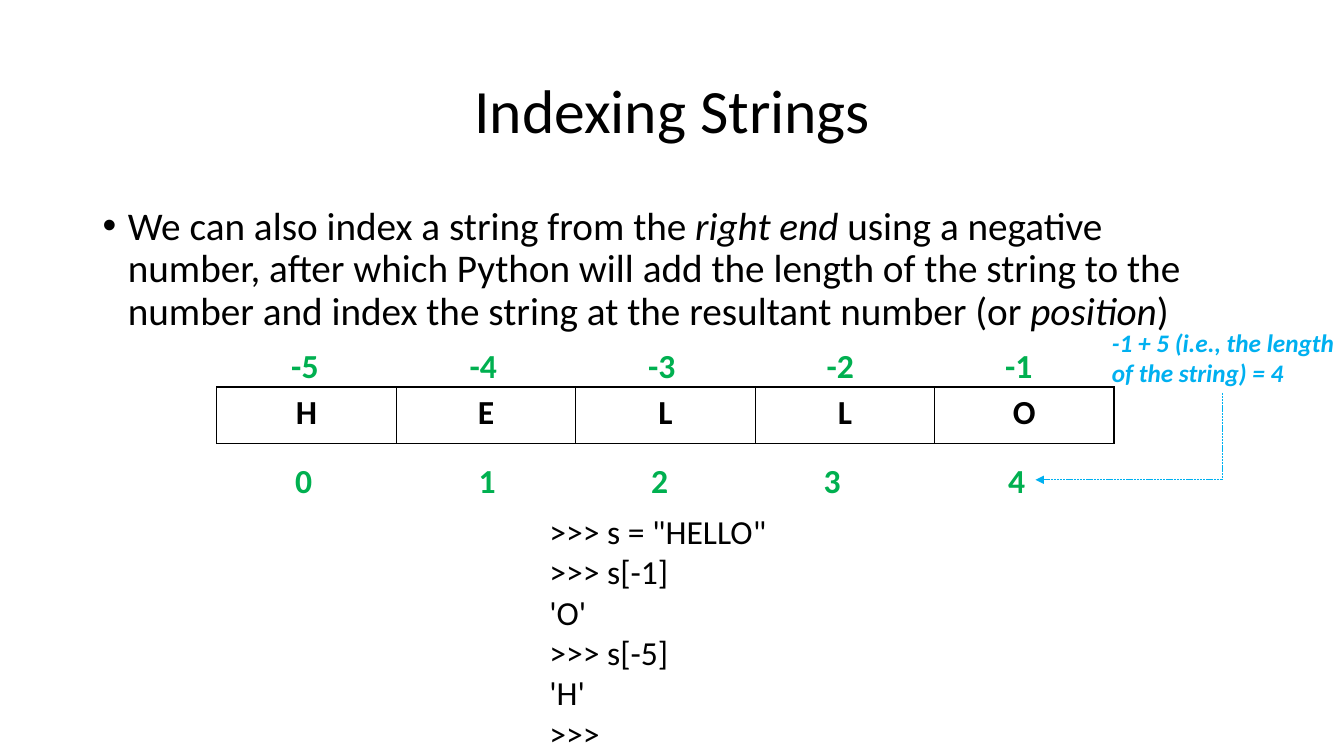
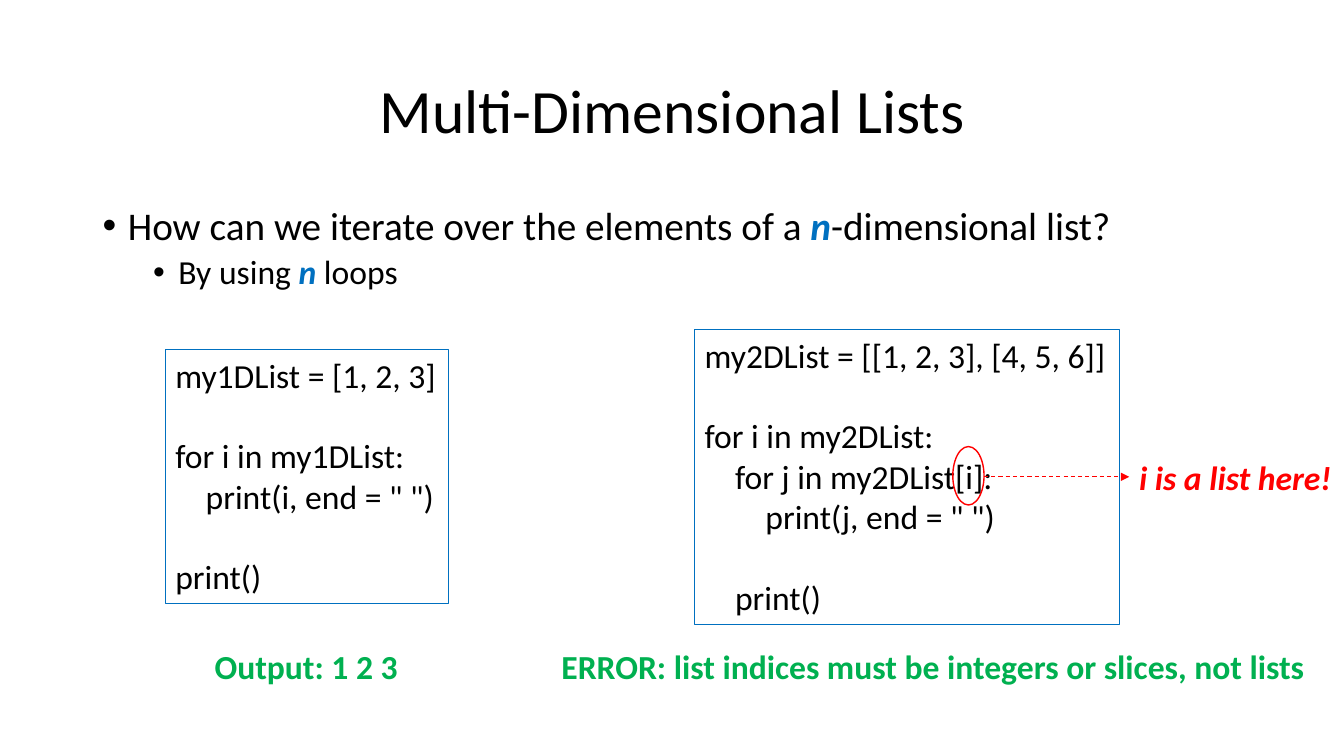
from lxml import etree
from pptx import Presentation
from pptx import util as u
from pptx.dml.color import RGBColor
from pptx.enum import dml, shapes, text
from pptx.oxml.ns import qn

FONT = "Calibri"
TONES = {
    "ink": "000000",
    "green": "00B050",
    "blue": "0070C0",
    "sky": "00B0F0",
    "red": "FF0000",
}
HUES = {name: RGBColor.from_string(code) for name, code in TONES.items()}


def write(slide, at, words, size=24, tone="ink", bold=False, slant=False, wrap=False):
    """Add a text box; each line of words becomes a paragraph."""
    box = slide.shapes.add_textbox(*map(u.Inches, at))
    frame = box.text_frame
    frame.text = words
    frame.word_wrap = wrap
    if not wrap:
        frame.auto_size = text.MSO_AUTO_SIZE.SHAPE_TO_FIT_TEXT
    for para in frame.paragraphs:
        for run in para.runs:
            font = run.font
            font.name, font.size = FONT, u.Pt(size)
            font.bold, font.italic = bold, slant
            font.color.rgb = HUES[tone]
        if not para.runs:
            # A blank code line keeps the height of the others
            etree.SubElement(para._p, qn("a:endParaRPr"), sz=str(size * 100))
    return box


def link(slide, start, end, tone, width, dash, arrow=True):
    line = slide.shapes.add_connector(
        shapes.MSO_CONNECTOR.STRAIGHT, *map(u.Inches, start + end))
    line.line.color.rgb = HUES[tone]
    line.line.width = u.Pt(width)
    line.line.dash_style = dash
    if arrow:
        etree.SubElement(line.line._get_or_add_ln(), qn("a:tailEnd"), type="triangle")
    etree.SubElement(line._element.spPr, qn("a:effectLst"))
    return line


deck = Presentation()
deck.slide_width, deck.slide_height = u.Inches(13.33), u.Inches(7.5)

# Title and bullets: each bullet is (level, [(words, style), ...])
pages = [
    ("Indexing Strings", [
        (0, [("We can also index a string from the ", ""),
             ("right end ", "slant"),
             ("using a negative number, after which Python will add the length of "
              "the string to the number and index the string at the resultant "
              "number (or ", ""),
             ("position", "slant"),
             (")", "")]),
    ]),
    ("Multi-Dimensional Lists", [
        (0, [("How can we iterate over the elements of a ", ""),
             ("n", "key"),
             ("-dimensional list?", "")]),
        (1, [("By using ", ""), ("n ", "key"), ("loops", "")]),
    ]),
]
slides = []
for title, points in pages:
    slide = deck.slides.add_slide(deck.slide_layouts[6])
    slides.append(slide)
    head = write(slide, (0.92, 0.4, 11.5, 1.45), title, 44, wrap=True).text_frame
    head.vertical_anchor = text.MSO_ANCHOR.MIDDLE
    head.paragraphs[0].alignment = text.PP_ALIGN.CENTER
    head.paragraphs[0].line_spacing = 0.9

    body = slide.shapes.add_textbox(*map(u.Inches, (0.92, 2, 11.5, 4.76))).text_frame
    body.word_wrap = True
    for i, (level, parts) in enumerate(points):
        para = body.add_paragraph() if i else body.paragraphs[0]
        props = para._p.get_or_add_pPr()
        props.set("marL", str(u.Inches(0.25 + 0.5 * level)))
        props.set("indent", str(u.Inches(-0.25)))
        etree.SubElement(props, qn("a:buFont"), typeface="Arial")
        etree.SubElement(props, qn("a:buChar"), char="•")
        para.level = level
        para.line_spacing = 0.9
        if i:
            para.space_before = u.Pt(5)
        for words, style in parts:
            run = para.add_run()
            run.text = words
            font = run.font
            font.name, font.size = FONT, u.Pt(28 - 4 * level)
            font.bold, font.italic = style == "key", style != ""
            font.color.rgb = HUES["blue" if style == "key" else "ink"]

index, lists = slides

# Indexing Strings: letters with both sets of positions
word = "HELLO"
grid = index.shapes.add_table(
    1, len(word), *map(u.Inches, (2.15, 3.84, 8.9, 0.56))).table
grid.first_row = grid.horz_banding = False
for cell, letter in zip(grid.iter_cells(), word):
    cell.text = letter
    para = cell.text_frame.paragraphs[0]
    para.alignment = text.PP_ALIGN.CENTER
    font = para.runs[0].font
    font.name, font.size, font.bold = FONT, u.Pt(24), True
    font.color.rgb = HUES["ink"]
    props = cell._tc.get_or_add_tcPr()
    for side in ("lnL", "lnR", "lnT", "lnB"):
        edge = etree.SubElement(props, qn("a:" + side), w=str(u.Pt(1)))
        fill = etree.SubElement(edge, qn("a:solidFill"))
        etree.SubElement(fill, qn("a:srgbClr"), val=TONES["ink"])
    cell.fill.background()

for i, left in enumerate((2.83, 4.65, 6.36, 8.07, 9.9)):
    write(index, (2.79 + 1.77 * i, 3.37, 0.48, 0.5), str(i - len(word)),
          tone="green", bold=True)
    last = write(index, (left, 4.51, 0.37, 0.5), str(i), tone="green", bold=True)

write(index, (5.35, 5.02, 3.41, 2.52),
      """>>> s = "HELLO"
>>> s[-1]
'O'
>>> s[-5]
'H'
>>>""", wrap=True)
write(index, (10.93, 3.2, 2.48, 0.71),
      "-1 + 5 (i.e., the length \vof the string) = 4", 18, "sky", True, True)
dots = dml.MSO_LINE.SQUARE_DOT
link(index, (12.12, 3.9), (12.12, 4.76), "sky", 0.5, dots, arrow=False)
link(index, (12.12, 4.76), (10.27, 4.76), "sky", 0.5, dots).end_connect(last, 3)

# Multi-Dimensional Lists: two programs and what they print
codes = [
    ((1.64, 3.47, 2.81, 2.52), """my1DList = [1, 2, 3]

for i in my1DList:
    print(i, end = " ")

print()"""),
    ((6.89, 3.27, 4.21, 2.93), """my2DList = [[1, 2, 3], [4, 5, 6]]

for i in my2DList:
    for j in my2DList[i]:
        print(j, end = " ")

    print()"""),
]
for at, code in codes:
    box = write(lists, at, code)
    box.line.color.rgb = HUES["blue"]
    box.line.width = u.Pt(0.75)

write(lists, (2.03, 6.36, 2.04, 0.5), "Output: 1 2 3", tone="green", bold=True)
write(lists, (5.47, 6.36, 7.65, 0.5),
      "ERROR: list indices must be integers or slices, not lists",
      tone="green", bold=True)

ring = lists.shapes.add_shape(
    shapes.MSO_SHAPE.OVAL, *map(u.Inches, (9.45, 4.43, 0.31, 0.58)))
ring.shadow.inherit = False
ring.fill.background()
ring.line.color.rgb = HUES["red"]
ring.line.width = u.Pt(1)
note = write(lists, (11.2, 4.48, 2.13, 0.5), "i is a list here!",
             tone="red", bold=True, slant=True)
link(lists, (9.76, 4.73), (11.2, 4.73), "red", 0.75,
     dml.MSO_LINE.DASH).end_connect(note, 1)

deck.save("out.pptx")
